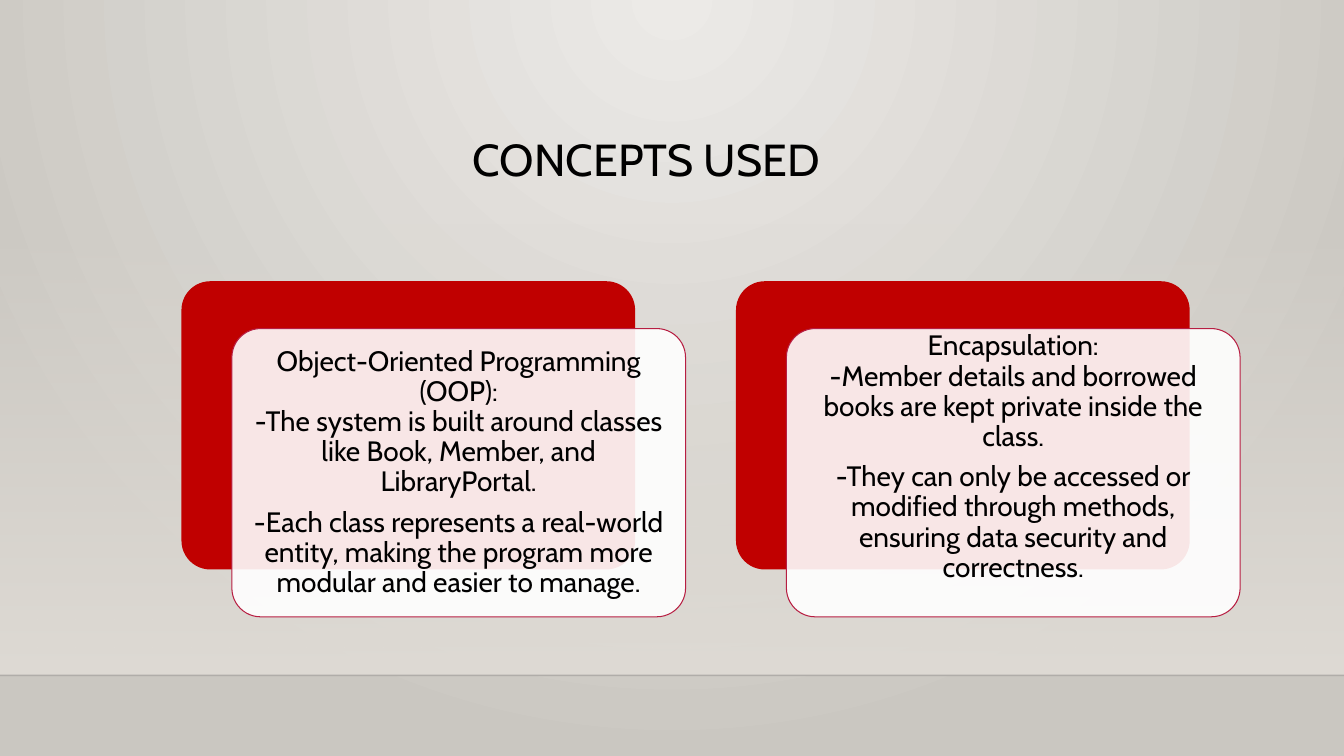
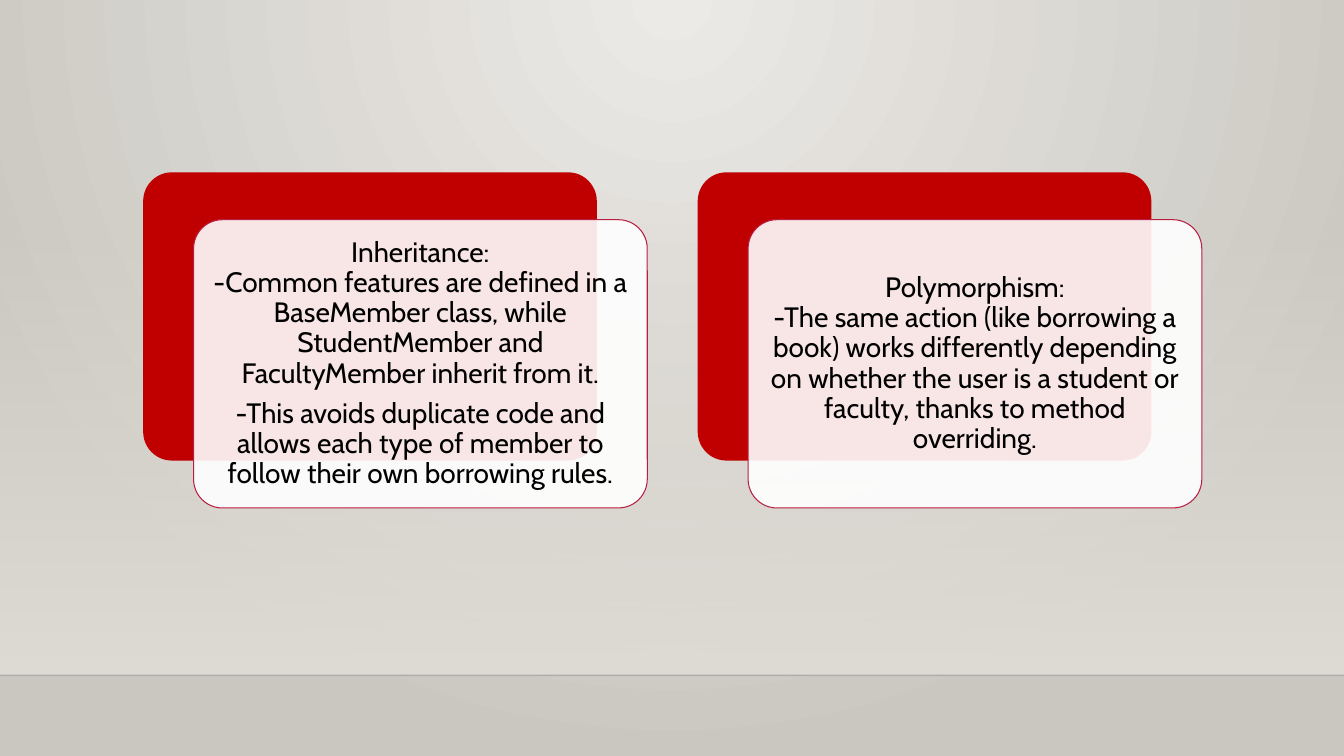
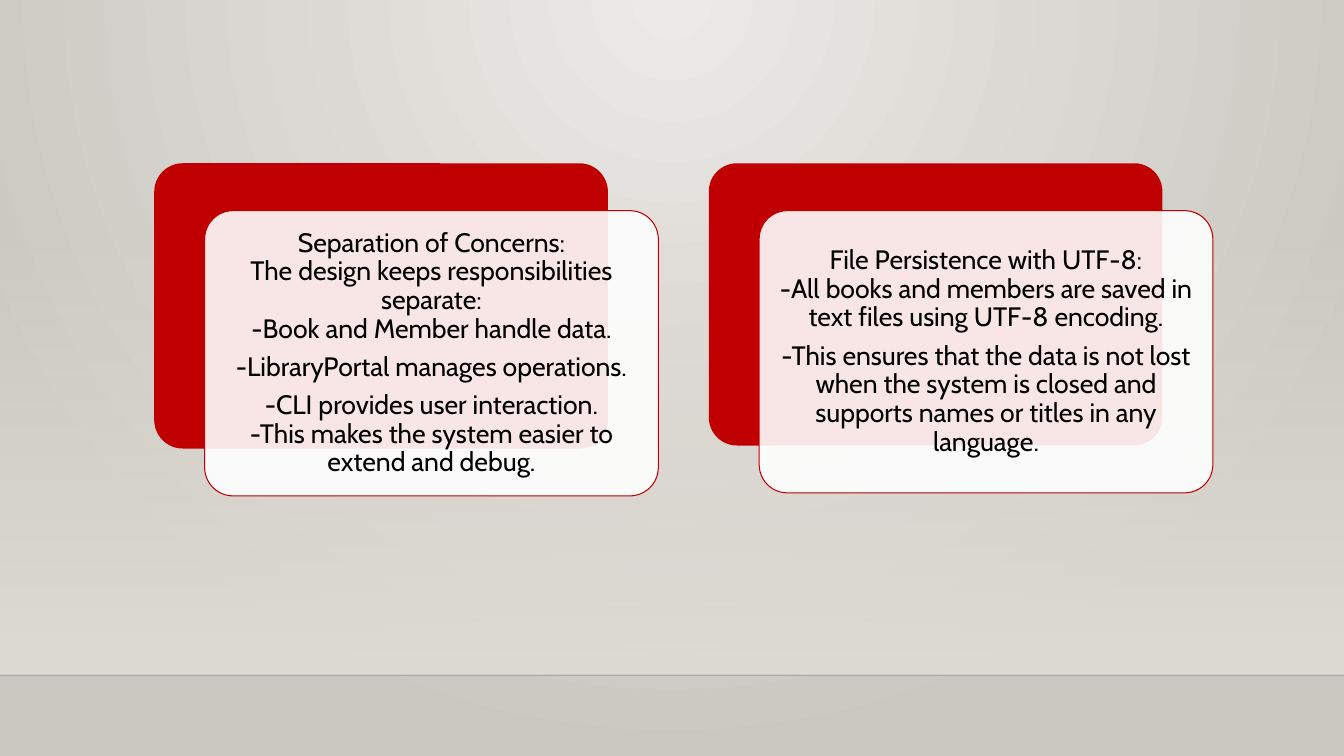
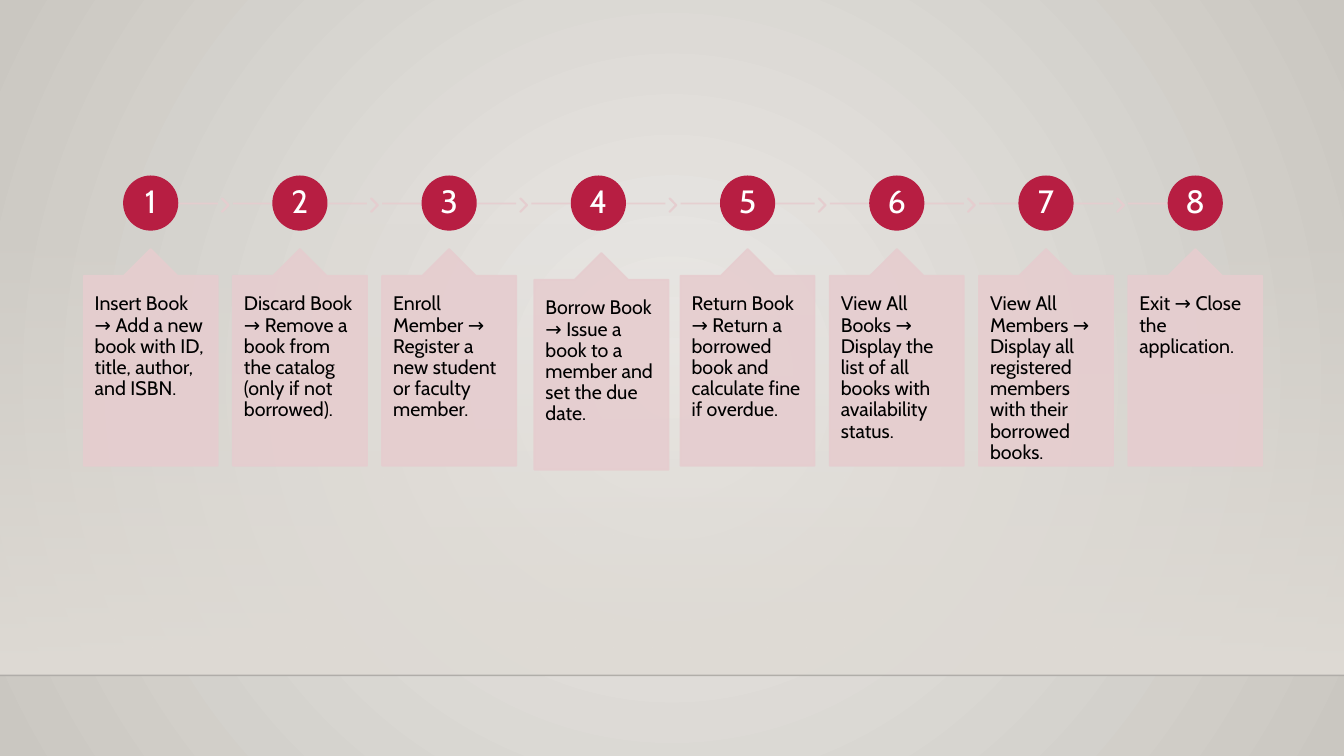
from lxml import etree
from pptx import Presentation
from pptx.dml.color import RGBColor
from pptx.enum.shapes import MSO_CONNECTOR as Connector, MSO_SHAPE as Preset
from pptx.enum.text import MSO_ANCHOR as Anchor, PP_ALIGN as Align
from pptx.oxml.ns import qn
from pptx.util import Emu, Pt

EMU_PER_PX = 9144
WIDTH, HEIGHT = 1333, 750
FONT = "Cabin"
COLORS = {
    "center": "ECEAE7", "edge": "CAC7C1", "wall": "DFDBD5", "floor_line": "000001",
    "text": "000000", "white": "FFFFFF", "red": "C00000", "crimson": "B71E42",
    "pink": "E6CDCF",
}
FOCUS_TOP = {"l": "43000", "t": "0", "r": "43000", "b": "100000"}
FOCUS_MIDDLE = dict.fromkeys("ltrb", "50000")
CARD_WIDTH, CARD_PITCH, CARD_SHIFT = 450, 550, (50, 47)
STEP_LEFT, STEP_PITCH, STEP_WIDTH = 83, 148, 133

OOP = [
    "Object-Oriented Programming (OOP):\n-The system is built around classes like Book, Member, and LibraryPortal.",
    "-Each class represents a real-world entity, making the program more modular and easier to manage.",
]
ENCAPSULATION = [
    "Encapsulation:\n-Member details and borrowed books are kept private inside the class.",
    "-They can only be accessed or modified through methods, ensuring data security and correctness.",
]
INHERITANCE = [
    "Inheritance:\n-Common features are defined in a BaseMember class, while StudentMember and FacultyMember inherit from it.",
    "-This avoids duplicate code and allows each type of member to follow their own borrowing rules.",
]
POLYMORPHISM = [
    "Polymorphism:\n-The same action (like borrowing a book) works differently depending on whether the user is a student or faculty, thanks to method overriding.",
]
SEPARATION = [
    "Separation of Concerns:\nThe design keeps responsibilities separate:\n-Book and Member handle data.",
    "-LibraryPortal manages operations.",
    "-CLI provides user interaction.\n-This makes the system easier to extend and debug.",
]
PERSISTENCE = [
    "File Persistence with UTF-8:\n-All books and members are saved in text files using UTF-8 encoding.",
    "-This ensures that the data is not lost when the system is closed and supports names or titles in any language.",
]
STEPS = [
    "Insert Book → Add a new book with ID, title, author, and ISBN.",
    "Discard Book → Remove a book from the catalog (only if not borrowed).",
    "Enroll Member → Register a new student or faculty member.",
    "Borrow Book → Issue a book to a member and set the due date.",
    "Return Book → Return a borrowed book and calculate fine if overdue.",
    "View All Books → Display the list of all books with availability status.",
    "View All Members → Display all registered members with their borrowed books.",
    "Exit → Close the application.",
]


def px(*values):
    return [Emu(value * EMU_PER_PX) for value in values]


def rgb(name):
    return RGBColor.from_string(COLORS[name])


def fade(paint, percent):
    for color in paint.iter(qn("a:srgbClr")):
        etree.SubElement(color, qn("a:alpha"), val=str(percent * 1000))


def set_gradient(fill, start, end):
    fill.gradient()
    for stop, name in zip(fill.gradient_stops, (start, end)):
        stop.color.rgb = rgb(name)


def set_line(shape, color, width, opacity=100):
    shape.line.color.rgb = rgb(color)
    shape.line.width = Pt(width)
    if opacity < 100:
        fade(shape.element.spPr.find(qn("a:ln")), opacity)


def add_box(page, preset, at, fill, opacity=100, adjustments=()):
    box = page.shapes.add_shape(preset, *px(*at))
    box.shadow.inherit = False
    for index, value in enumerate(adjustments):
        box.adjustments[index] = value
    box.fill.solid()
    box.fill.fore_color.rgb = rgb(fill)
    if opacity < 100:
        fade(box.element.spPr.find(qn("a:solidFill")), opacity)
    box.line.fill.background()
    return box


def add_pink(page, preset, at, adjustments):
    box = add_box(page, preset, at, "pink", 90, adjustments)
    set_line(box, "pink", 1.25, 90)
    return box


def add_line(page, left, right, y, color, width, opacity):
    line = page.shapes.add_connector(Connector.STRAIGHT, *px(left, y, right, y))
    set_line(line, color, width, opacity)
    etree.SubElement(line.element.spPr, qn("a:effectLst"))


def write(box, texts, size, color="text", align=Align.LEFT, anchor=Anchor.TOP,
          insets=(10, 5, 10, 5), gap=0.35):
    frame = box.text_frame
    frame.word_wrap = True
    frame.vertical_anchor = anchor
    (frame.margin_left, frame.margin_top,
     frame.margin_right, frame.margin_bottom) = px(*insets)
    for index, text in enumerate(texts):
        para = frame.add_paragraph() if index else frame.paragraphs[0]
        para.text = text
        para.alignment = align
        para.line_spacing = 0.9
        para.space_after = Pt(size * gap)
        for span in para.runs:
            span.font.name = FONT
            span.font.size = Pt(size)
            span.font.color.rgb = rgb(color)


def add_page(deck, focus=FOCUS_TOP):
    page = deck.slides.add_slide(deck.slide_layouts[6])
    set_gradient(page.background.fill, "center", "edge")
    direction = next(page.element.iter(qn("a:lin")))
    circle = etree.Element(qn("a:path"), {"path": "circle"})
    etree.SubElement(circle, qn("a:fillToRect"), focus)
    direction.getparent().replace(direction, circle)

    wall = add_box(page, Preset.RECTANGLE, (0, 221, WIDTH, 449), "wall")
    set_gradient(wall.fill, "wall", "wall")
    wall.fill.gradient_angle = 270
    fade(next(wall.element.iter(qn("a:gs"))), 0)
    add_line(page, 0, WIDTH, 670, "floor_line", 1, 20)
    return page


def add_title(page, text):
    box = page.shapes.add_textbox(*px(459, 132, 611, 72))
    write(box, [text], 32, gap=0)


def add_card(page, left, top, height, texts, size, outline, bottom=8):
    add_box(page, Preset.ROUNDED_RECTANGLE, (left, top, CARD_WIDTH, height), "red",
            adjustments=[0.1])
    right, down = CARD_SHIFT
    front = add_box(page, Preset.ROUNDED_RECTANGLE,
                    (left + right, top + down, CARD_WIDTH, height), "white", 90, [0.1])
    set_line(front, outline, 0.75)
    write(front, texts, size, align=Align.CENTER, anchor=Anchor.MIDDLE,
          insets=(8, 8, 8, bottom))


def add_step(page, index, text):
    left = STEP_LEFT + index * STEP_PITCH
    first, last = index == 0, index == len(STEPS) - 1
    line_left = left + 74 if first else left
    line_right = left + 67 if last else left + STEP_WIDTH
    add_line(page, line_left, line_right, 202, "pink", 1.25, 90)
    if not last:
        add_pink(page, Preset.CHEVRON, (left + 137, 197, 7, 13), [0.9])

    badge = add_box(page, Preset.OVAL, (left + 40, 175, 53, 53), "crimson")
    set_line(badge, "crimson", 1.25)
    write(badge, [str(index + 1)], 23, "white", Align.CENTER, Anchor.MIDDLE, (2, 2, 2, 2))

    right, down = (3, 4) if index == 3 else (0, 0)
    callout = add_pink(page, Preset.UP_ARROW_CALLOUT,
                       (left + right, 247 + down, STEP_WIDTH, 215), [0.5, 0.2, 0.2, 1])
    write(callout, [text], 14, insets=(11, 18, 11, 18))


def main():
    deck = Presentation()
    deck.slide_width, deck.slide_height = px(WIDTH, HEIGHT)

    concepts = add_page(deck)
    add_title(concepts, "CONCEPTS USED")
    add_card(concepts, 180, 279, 286, OOP, 20, "crimson")
    add_card(concepts, 180 + CARD_PITCH, 279, 286, ENCAPSULATION, 20, "crimson", bottom=38)

    classes = add_page(deck)
    for index, texts in enumerate((INHERITANCE, POLYMORPHISM)):
        add_card(classes, 142 + index * CARD_PITCH, 171, 286, texts, 20, "crimson")

    design = add_page(deck)
    for index, (texts, height) in enumerate(((SEPARATION, 283), (PERSISTENCE, 280))):
        add_card(design, 153 + index * CARD_PITCH, 162, height, texts, 19, "red")

    menu = add_page(deck, FOCUS_MIDDLE)
    for index, text in enumerate(STEPS):
        add_step(menu, index, text)

    deck.save("out.pptx")


if __name__ == "__main__":
    main()
